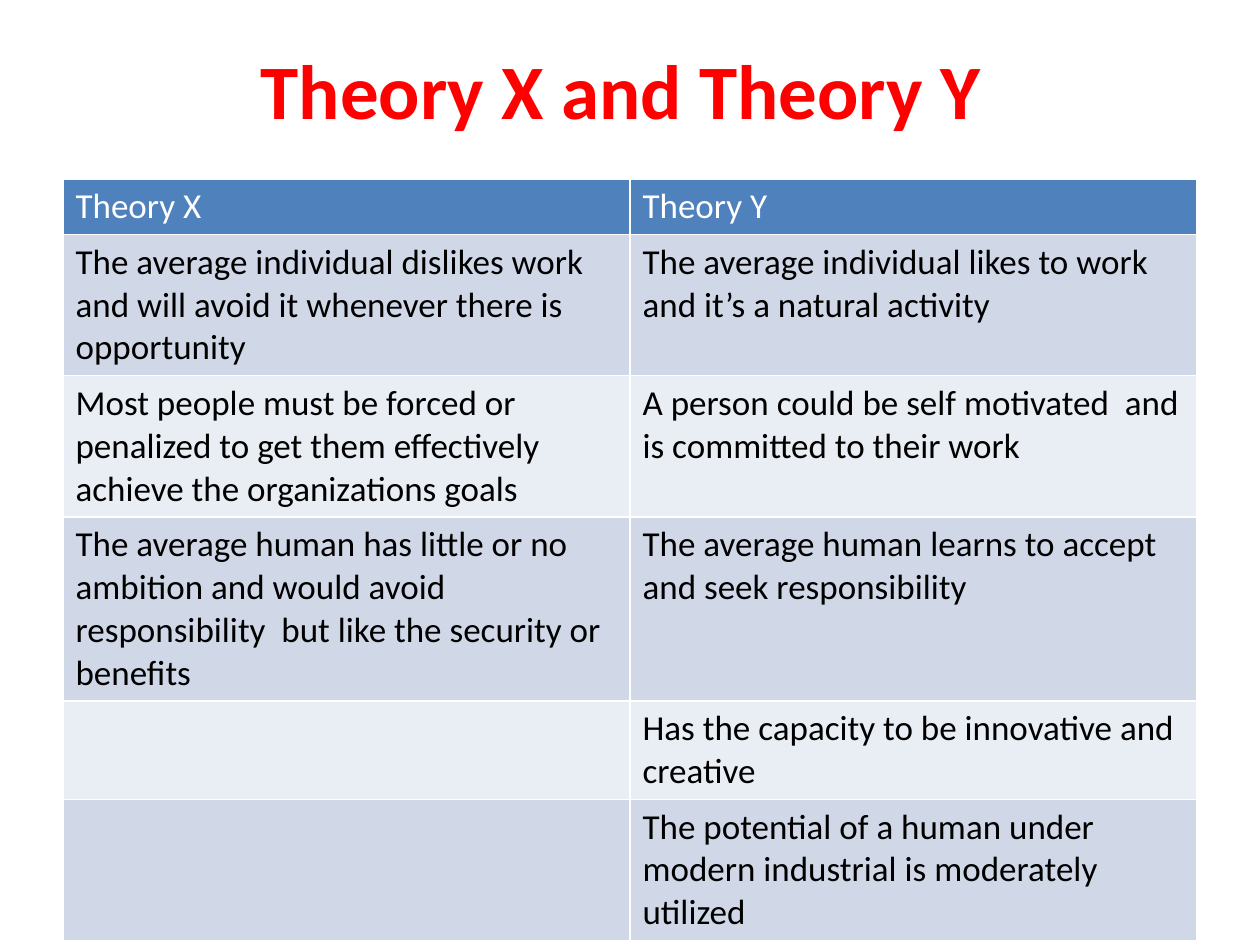
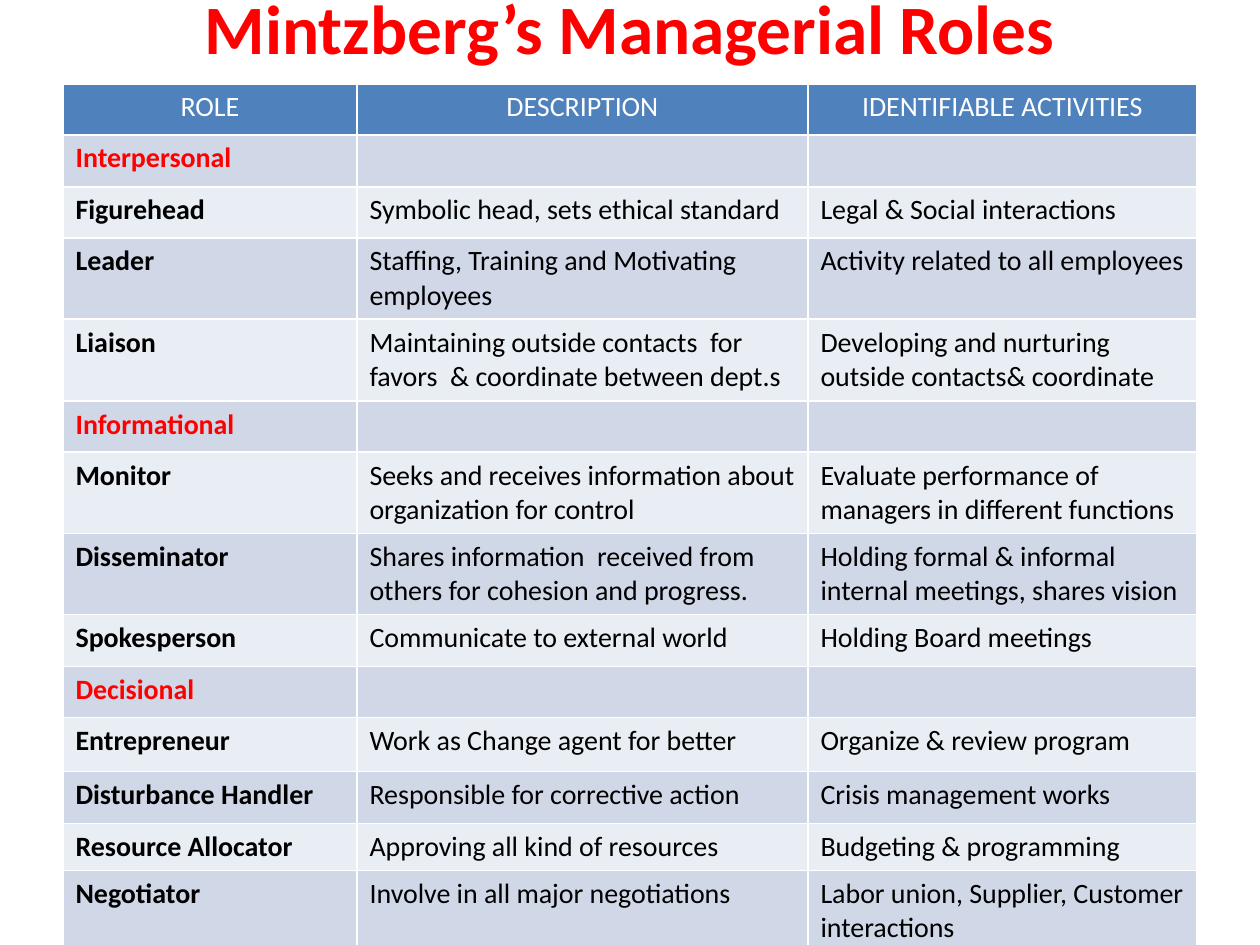
from pptx import Presentation
from pptx.dml.color import RGBColor
from pptx.enum.text import MSO_ANCHOR, MSO_AUTO_SIZE, PP_ALIGN
from pptx.util import Emu, Pt

FONT = "Calibri"
RED, BLACK, WHITE = "FF0000", "000000", "FFFFFF"
HEADER_FILL = "4F81BD"
BAND_FILLS = ("E9EDF4", "D0D8E8")
LEFT, WIDTH = 63, 1134

THEORIES = [
    ("Theory X", "Theory Y"),
    ("The average individual dislikes work and will avoid it whenever there is opportunity",
     "The average individual likes to work and it’s a natural activity"),
    ("Most people must be forced or penalized to get them effectively achieve the organizations goals",
     "A person could be self motivated  and is committed to their work"),
    ("The average human has little or no ambition and would avoid responsibility  "
     "but like the security or benefits",
     "The average human learns to accept and seek responsibility"),
    ("", "Has the capacity to be innovative and creative"),
    ("", "The potential of a human under modern industrial is moderately utilized"),
]
THEORY_HEIGHTS = [55, 141, 141, 184, 98, 140]

ROLES = [
    ("ROLE", "DESCRIPTION", "IDENTIFIABLE ACTIVITIES"),
    ("Interpersonal", "", ""),
    ("Figurehead", "Symbolic head, sets ethical standard", "Legal & Social interactions"),
    ("Leader", "Staffing, Training and Motivating employees",
     "Activity related to all employees"),
    ("Liaison", "Maintaining outside contacts  for favors  & coordinate between dept.s",
     "Developing and nurturing outside contacts& coordinate"),
    ("Informational", "", ""),
    ("Monitor", "Seeks and receives information about organization for control",
     "Evaluate performance of managers in different functions"),
    ("Disseminator", "Shares information  received from others for cohesion and progress.",
     "Holding formal & informal internal meetings, shares vision"),
    ("Spokesperson", "Communicate to external world", "Holding Board meetings"),
    ("Decisional", "", ""),
    ("Entrepreneur", "Work as Change agent for better", "Organize & review program"),
    ("Disturbance Handler", "Responsible for corrective action", "Crisis management works"),
    ("Resource Allocator", "Approving all kind of resources", "Budgeting & programming"),
    ("Negotiator", "Involve in all major negotiations",
     "Labor union, Supplier, Customer interactions"),
]
ROLE_HEIGHTS = [51, 52, 51, 81, 82, 51, 81, 81, 52, 51, 54, 52, 47, 76]


def px(n):
    return Emu(n * 914400 // 126)


def rgb(color):
    return RGBColor.from_string(color)


def format_text(tf, size, color, bold, align):
    for p in tf.paragraphs:
        p.alignment = align
        for r in p.runs:
            r.font.name = FONT
            r.font.size = Pt(size)
            r.font.bold = bold
            r.font.color.rgb = rgb(color)


def add_titled_slide(prs, title, top, height, size):
    slide = prs.slides.add_slide(prs.slide_layouts[5])
    sp = slide.shapes.title
    sp.left, sp.top, sp.width, sp.height = px(LEFT), px(top), px(WIDTH), px(height)
    tf = sp.text_frame
    tf.text = title
    tf.auto_size = MSO_AUTO_SIZE.NONE
    tf.vertical_anchor = MSO_ANCHOR.MIDDLE
    format_text(tf, size, RED, True, PP_ALIGN.CENTER)
    return slide


def add_banded_table(slide, rows, top, col_widths, row_heights, size,
                     header_align=PP_ALIGN.LEFT, bold_labels=False):
    """Add a table; with bold_labels, a row holding only a label is a red group heading."""
    table = slide.shapes.add_table(
        len(rows), len(col_widths), px(LEFT), px(top),
        px(sum(col_widths)), px(sum(row_heights))).table
    for column, width in zip(table.columns, col_widths):
        column.width = px(width)
    for row, height in zip(table.rows, row_heights):
        row.height = px(height)

    for i, texts in enumerate(rows):
        is_header = i == 0
        is_group = bold_labels and not any(texts[1:])
        color = WHITE if is_header else RED if is_group else BLACK
        align = header_align if is_header else PP_ALIGN.LEFT
        for j, text in enumerate(texts):
            cell = table.cell(i, j)
            cell.fill.solid()
            cell.fill.fore_color.rgb = rgb(HEADER_FILL if is_header else BAND_FILLS[i % 2])
            cell.text_frame.text = text
            bold = bold_labels and j == 0 and not is_header
            format_text(cell.text_frame, size, color, bold, align)


def main():
    prs = Presentation()
    prs.slide_width, prs.slide_height = px(1260), px(945)

    slide = add_titled_slide(prs, "Theory X and Theory Y ", 10, 158, 44)
    add_banded_table(slide, THEORIES, 179, [WIDTH // 2] * 2, THEORY_HEIGHTS, 20)

    slide = add_titled_slide(prs, "Mintzberg’s Managerial Roles", 0, 53, 39.6)
    add_banded_table(slide, ROLES, 84, [294, 451, 389], ROLE_HEIGHTS, 16,
                     PP_ALIGN.CENTER, bold_labels=True)

    prs.save("out.pptx")


if __name__ == "__main__":
    main()
